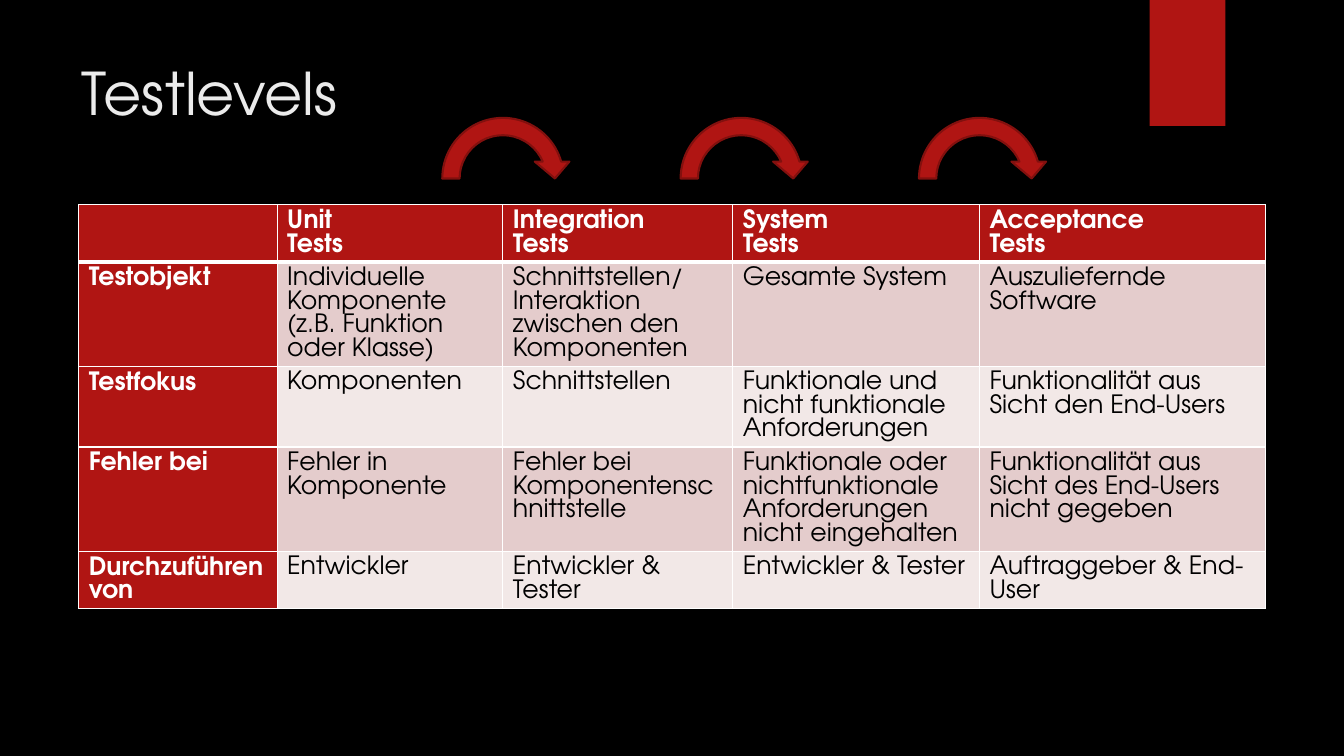
from typing import NamedTuple

from lxml.etree import SubElement
from pptx import Presentation
from pptx.dml.color import RGBColor
from pptx.enum.shapes import MSO_SHAPE as Preset
from pptx.enum.text import MSO_ANCHOR as Anchor, PP_ALIGN as Align
from pptx.oxml.ns import qn
from pptx.util import Emu, Pt

EMU_PER_PX = 9525
FONT = "TeX Gyre Adventor"

BLACK = RGBColor(0x00, 0x00, 0x00)
WHITE = RGBColor(0xFF, 0xFF, 0xFF)
TITLE_GREY = RGBColor(0xEB, 0xEB, 0xEB)
RED = RGBColor(0xB0, 0x15, 0x13)
DARK_RED = RGBColor(0x82, 0x10, 0x0E)
BANDS = (RGBColor(0xE4, 0xCC, 0xCC), RGBColor(0xF2, 0xE8, 0xE7))

TITLE_FORMAT = {"name": FONT, "size": Pt(42), "bold": False}
CELL_FORMAT = {"name": FONT, "size": Pt(18)}


def px(n: int) -> Emu:
    return Emu(n * EMU_PER_PX)


class Box(NamedTuple):
    left: int
    top: int
    width: int
    height: int

    def emu(self) -> list[Emu]:
        return [px(n) for n in self]


class Figure(NamedTuple):
    preset: Preset
    box: Box
    line: RGBColor | None = None


class TestRow(NamedTuple):
    height: int
    texts: tuple[str, ...]


TITLE_BOX = Box(68, 48, 988, 147)
RIBBON = Figure(Preset.RECTANGLE, Box(1095, 0, 72, 120))
ARROWS = [Figure(Preset.CIRCULAR_ARROW, Box(413 + 227 * i, 104, 132, 132), DARK_RED)
          for i in range(3)]

TABLE_LEFT, TABLE_TOP = 75, 195
COL_WIDTHS = (189, 215, 219, 235, 272)
ROWS = (
    TestRow(54, ("", "Unit\nTests", "Integration\nTests", "System\nTests",
                 "Acceptance\nTests")),
    TestRow(99, ("Testobjekt", "Individuelle Komponente (z.B. Funktion oder Klasse)",
                 "Schnittstellen/Interaktion zwischen den Komponenten",
                 "Gesamte System", "Auszuliefernde Software")),
    TestRow(77, ("Testfokus", "Komponenten", "Schnittstellen",
                 "Funktionale und nicht funktionale Anforderungen",
                 "Funktionalität aus Sicht den End-Users")),
    TestRow(99, ("Fehler bei", "Fehler in Komponente",
                 "Fehler bei Komponentenschnittstelle",
                 "Funktionale oder nichtfunktionale Anforderungen nicht eingehalten",
                 "Funktionalität aus Sicht des End-Users nicht gegeben")),
    TestRow(54, ("Durchzuführen von", "Entwickler", "Entwickler & Tester",
                 "Entwickler & Tester", "Auftraggeber & End-User")),
)


def write(p, text: str, formats: dict, color: RGBColor, spacing: Pt) -> None:
    p.text = text
    p.alignment = Align.LEFT
    p.line_spacing = spacing
    for r in p.runs:
        for name, value in formats.items():
            setattr(r.font, name, value)
        r.font.color.rgb = color


def add_figure(s, figure: Figure) -> None:
    sp = s.shapes.add_shape(figure.preset, *figure.box.emu())
    sp.shadow.inherit = False
    sp.fill.solid()
    sp.fill.fore_color.rgb = RED
    if figure.line is None:
        sp.line.fill.background()
    else:
        sp.line.color.rgb = figure.line
        sp.line.width = Pt(1.5)


def set_borders(cell, widths: dict[str, int]) -> None:
    tc_pr = cell._tc.get_or_add_tcPr()
    for side, width in widths.items():
        ln = SubElement(tc_pr, qn(f"a:ln{side}"), w=str(Pt(width)))
        fill = SubElement(ln, qn("a:solidFill"))
        SubElement(fill, qn("a:srgbClr"), val=str(WHITE))


def add_test_table(s) -> None:
    box = Box(TABLE_LEFT, TABLE_TOP, sum(COL_WIDTHS), sum(r.height for r in ROWS))
    table = s.shapes.add_table(len(ROWS), len(COL_WIDTHS), *box.emu()).table
    table.first_col = True
    for col, width in zip(table.columns, COL_WIDTHS):
        col.width = px(width)
    for i, row in enumerate(ROWS):
        table.rows[i].height = px(row.height)
        for j, text in enumerate(row.texts):
            cell = table.cell(i, j)
            is_head = i == 0 or j == 0
            # The rule under the header row is thicker than the rest
            set_borders(cell, {"L": 1, "R": 1, "T": 3 if i == 1 else 1,
                               "B": 3 if i == 0 else 1})
            cell.fill.solid()
            cell.fill.fore_color.rgb = RED if is_head else BANDS[(i - 1) % 2]
            write(cell.text_frame.paragraphs[0], text, CELL_FORMAT | {"bold": is_head},
                  WHITE if is_head else BLACK, Pt(16.8))


def main() -> None:
    prs = Presentation()
    prs.slide_width, prs.slide_height = px(1280), px(720)
    s = prs.slides.add_slide(prs.slide_layouts[5])
    s.background.fill.solid()
    s.background.fill.fore_color.rgb = BLACK

    # Ribbon and title
    add_figure(s, RIBBON)
    title = s.shapes.title
    title.left, title.top, title.width, title.height = TITLE_BOX.emu()
    tf = title.text_frame
    tf.vertical_anchor = Anchor.TOP
    write(tf.paragraphs[0], "Testlevels", TITLE_FORMAT, TITLE_GREY, Pt(51.6))

    # Test levels and the steps between them
    add_test_table(s)
    for arrow in ARROWS:
        add_figure(s, arrow)

    prs.save("out.pptx")


if __name__ == "__main__":
    main()
